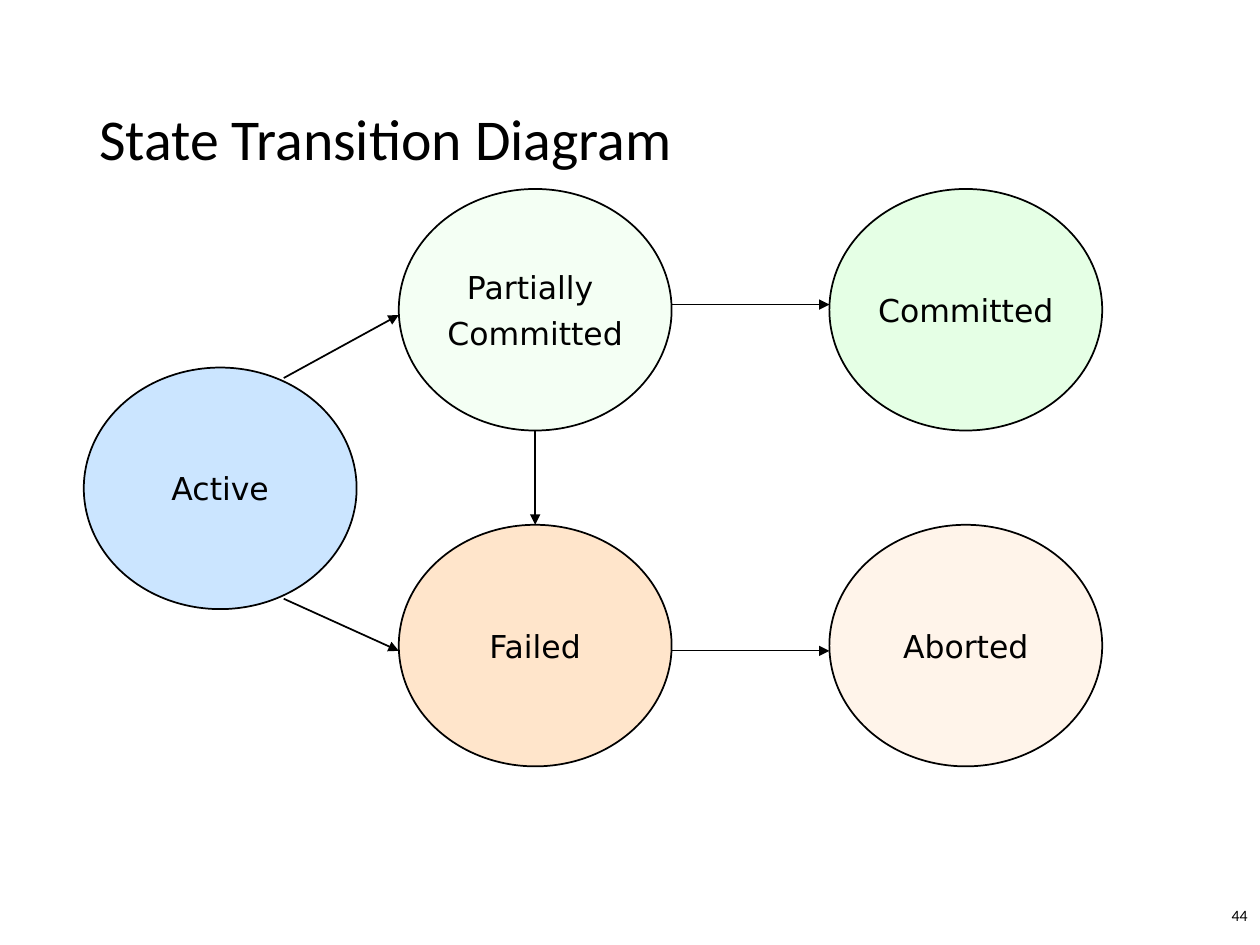
from lxml.etree import SubElement
from pptx import Presentation
from pptx.dml.color import RGBColor
from pptx.enum.shapes import MSO_CONNECTOR as Line, MSO_SHAPE as Shape
from pptx.enum.text import MSO_ANCHOR as Anchor, PP_ALIGN as Align
from pptx.oxml.ns import qn
from pptx.util import Cm, Pt

COLORS = {"ink": "000000", "blue": "99CCFF", "green": "CCFFCC", "orange": "FFCC99"}

# State grid and ellipse size, in cm
COL = {"start": 1.69, "middle": 8.04, "end": 16.72}
ROW = {"top": 3.81, "centre": 7.41, "bottom": 10.58}
STATE_W, STATE_H = 5.5, 4.87


class Diagram:
    title_font = "Calibri"
    state_font = "DejaVu Sans"

    def __init__(self, slide):
        self.slide = slide

    def color(self, name):
        return RGBColor.from_string(COLORS[name])

    def set_text(self, sp, text, font, size, align, before=0, spacing=1.0):
        tf = sp.text_frame
        tf.text = text
        tf.vertical_anchor = Anchor.MIDDLE
        for p in tf.paragraphs:
            p.alignment = align
            p.space_before = Pt(before)
            p.line_spacing = spacing
            for r in p.runs:
                r.font.name = font
                r.font.size = Pt(size)
                r.font.color.rgb = self.color("ink")

    def label(self, text, x, y, w, h, size, align=Align.LEFT, spacing=1.0):
        sp = self.slide.shapes.add_textbox(Cm(x), Cm(y), Cm(w), Cm(h))
        sp.text_frame.word_wrap = True
        self.set_text(sp, text, self.title_font, size, align, spacing=spacing)

    def state(self, text, col, row, fill, opacity):
        sp = self.slide.shapes.add_shape(
            Shape.OVAL, Cm(COL[col]), Cm(ROW[row]), Cm(STATE_W), Cm(STATE_H))
        sp.shadow.inherit = False
        sp.fill.solid()
        sp.fill.fore_color.rgb = self.color(fill)
        srgb = sp._element.spPr.find(qn("a:solidFill")).find(qn("a:srgbClr"))
        SubElement(srgb, qn("a:alpha"), val=str(opacity * 1000))
        sp.line.color.rgb = self.color("ink")
        sp.line.width = Pt(1)
        sp.text_frame.word_wrap = False
        self.set_text(sp, text, self.state_font, 18, Align.CENTER, before=4.5)

    def arrow(self, x1, y1, x2, y2, width=1):
        sp = self.slide.shapes.add_connector(
            Line.STRAIGHT, Cm(x1), Cm(y1), Cm(x2), Cm(y2))
        sp.line.color.rgb = self.color("ink")
        sp.line.width = Pt(width)
        props = sp._element.spPr
        SubElement(props.find(qn("a:ln")), qn("a:tailEnd"), type="triangle")
        SubElement(props, qn("a:effectLst"))


def main():
    prs = Presentation()
    prs.slide_width, prs.slide_height = Cm(25.4), Cm(19.05)
    s = prs.slides.add_slide(prs.slide_layouts[6])
    d = Diagram(s)

    # Title and page number
    d.label("State Transition Diagram", 1.75, 1.02, 21.92, 3.68, 33, spacing=0.9)
    d.label("44", 24.56, 18.14, 0.84, 0.64, 9, Align.RIGHT)

    # States
    d.state("Committed", "end", "top", "green", 50)
    d.state("Aborted", "end", "bottom", "orange", 20)
    d.state("Partially \nCommitted", "middle", "top", "green", 20)
    d.state("Active", "start", "centre", "blue", 50)
    d.state("Failed", "middle", "bottom", "orange", 50)

    # Transitions out of Active
    d.arrow(5.72, 7.62, COL["middle"], 6.35)
    d.arrow(5.72, 12.07, COL["middle"], 13.12)

    # Partially Committed to Failed
    middle_x = COL["middle"] + STATE_W / 2
    d.arrow(middle_x, ROW["top"] + STATE_H, middle_x, ROW["bottom"])

    # Transitions to the final states
    for y in (6.14, 13.12):
        d.arrow(COL["middle"] + STATE_W, y, COL["end"], y, width=0.75)

    prs.save("out.pptx")


if __name__ == "__main__":
    main()
